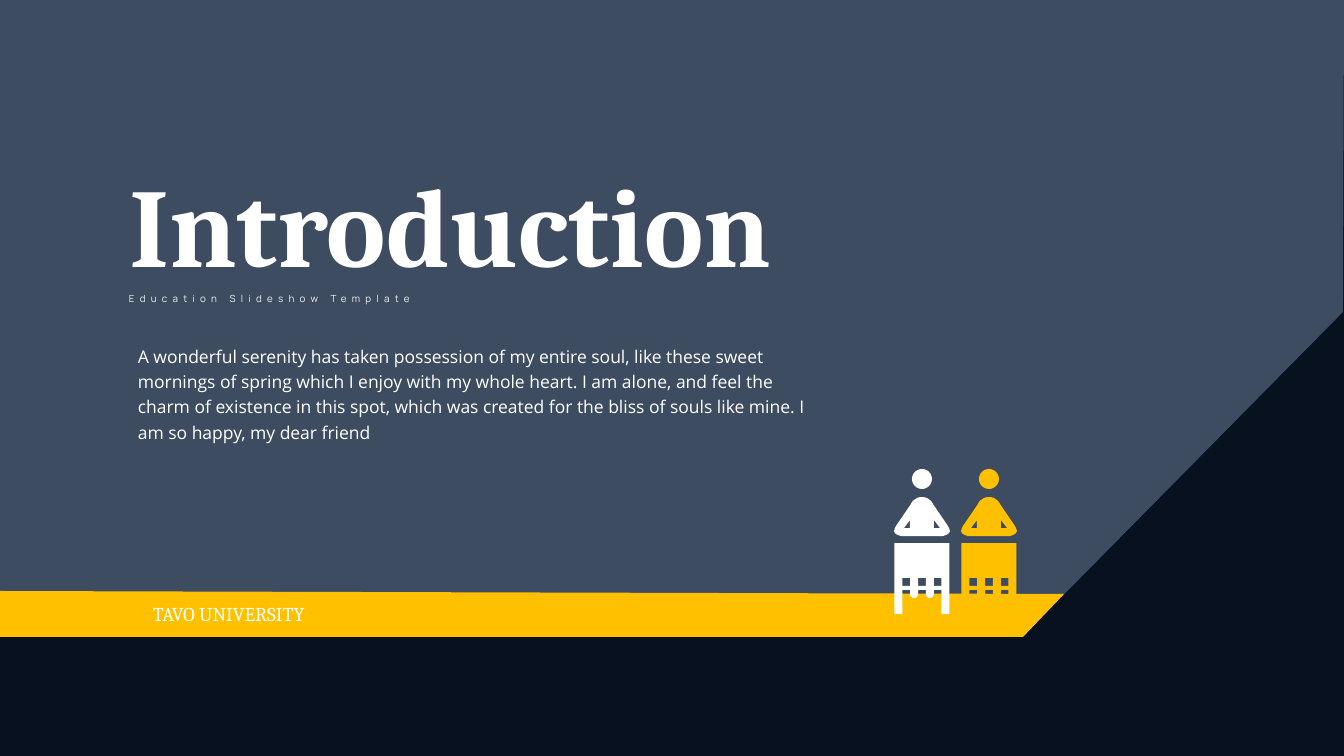
import math

from lxml import etree
from pptx import Presentation
from pptx import util as u
from pptx.dml.color import RGBColor
from pptx.enum import shapes, text
from pptx.oxml.ns import qn

W, H = 1344, 756
SCALE = u.Inches(7.5) / H
COLORS = {
    "navy": "07111F",
    "slate": "44546A",
    "gold": "FFC000",
    "white": "FFFFFF",
    "pale": "F2F2F2",
}
BODY = (
    "A wonderful serenity has taken possession of my entire soul, like these sweet "
    "mornings of spring which I enjoy with my whole heart. I am alone, and feel the "
    "charm of existence in this spot, which was created for the bliss of souls like "
    "mine. I am so happy, my dear friend"
)


def px(n):
    return u.Emu(round(n * SCALE))


def rgb(name):
    return RGBColor.from_string(COLORS[name])


def paint(sp, color, alpha=None):
    sp.shadow.inherit = False
    sp.line.fill.background()
    sp.fill.solid()
    sp.fill.fore_color.rgb = rgb(color)
    if alpha:
        clr = sp._element.spPr.find(qn("a:solidFill"))[0]
        etree.SubElement(clr, qn("a:alpha")).set("val", str(alpha * 1000))


def outline(parent, x, y, contours, color, alpha=None):
    moved = [[(px(x + a), px(y + b)) for a, b in pts] for pts in contours]
    fb = parent.build_freeform(*moved[0][0])
    fb.add_line_segments(moved[0][1:])
    for pts in moved[1:]:
        fb.move_to(*pts[0])
        fb.add_line_segments(pts[1:])
    paint(fb.convert_to_shape(), color, alpha)


def write(sp, box, words, size, font, color="white", bold=False, spacing=None,
          line=None, before=None, fit=text.MSO_AUTO_SIZE.NONE):
    sp.left, sp.top, sp.width, sp.height = map(px, box)
    tf = sp.text_frame
    tf.word_wrap = True
    tf.auto_size = fit
    tf.vertical_anchor = text.MSO_ANCHOR.TOP
    p = tf.paragraphs[0]
    p.alignment = text.PP_ALIGN.LEFT
    p.line_spacing = line
    p.space_before = before
    r = p.add_run()
    r.text = words
    r.font.size = u.Pt(size)
    r.font.name = font
    r.font.bold = bold
    r.font.color.rgb = rgb(color)
    if spacing:
        r._r.get_or_add_rPr().set("spc", str(spacing))


def add_label(slide, box, words, size, font, **fmt):
    sp = slide.shapes.add_textbox(0, 0, 0, 0)
    write(sp, box, words, size, font, fit=text.MSO_AUTO_SIZE.SHAPE_TO_FIT_TEXT, **fmt)


def backdrop(slide):
    slide.background.fill.solid()
    slide.background.fill.fore_color.rgb = rgb("navy")
    panel = [(0, 0), (W, 0), (W - 1, 312), (1022, 637), (0, 636)]
    band = [(0, 591), (1064, 594), (1023, 637), (0, 637)]
    outline(slide.shapes, 0, 0, [panel], "slate", alpha=89)
    outline(slide.shapes, 0, 0, [band], "gold")


def heading(slide, x, y, w):
    title = slide.shapes.title
    slide.shapes._spTree.append(title._element)
    write(title, (x, y, w, 122), "Introduction", 80, "Cambria", bold=True,
          line=0.9, before=u.Pt(16))
    add_label(slide, (x, y + 122, 410, 22), "Education Slideshow Template", 7,
              "Manrope", color="pale", spacing=380)


def peg(left, top, size):
    radius = size / 2
    angles = [math.pi * i / 12 for i in range(13)]
    arc = [(left + radius - radius * math.cos(a), top + 4 + radius * math.sin(a))
           for a in angles]
    return [(left, top), *arc, (left + size, top)]


def desk(group, x, y, color):
    w, h, leg, under = 55, 71, 8, 47
    pitch = (w - leg) / 3
    front = [(0, 0), (0, h), (leg, h), (leg, under)]
    for i in (1, 2):
        front += peg(i * pitch, under, leg)
    front += [(w - leg, under), (w - leg, h), (w, h), (w, 0)]
    windows = []
    for i in range(3):
        a, b = i * pitch + leg, (i + 1) * pitch
        windows.append([(a, 35), (a, 43), (b, 43), (b, 35)])
    outline(group, x - w / 2, y, [front, *windows], color)


def torso(group, x, y, color):
    side = [(2, 0), (5, 1), (8, 3), (10, 5), (11, 7), (26, 29), (27, 31),
            (28, 34), (27, 36), (26, 37), (24, 38), (21, 39)]
    body = side + [(-a, b) for a, b in reversed(side)]
    gap = [(12, 31), (12, 23), (18, 31)]
    outline(group, x, y, [body, gap, [(-a, b) for a, b in gap]], color)


def student(slide, x, y, color):
    group = slide.shapes.add_group_shape().shapes
    desk(group, x, y + 74, color)
    head = group.add_shape(shapes.MSO_SHAPE.OVAL, px(x - 10), px(y), px(20), px(20))
    paint(head, color)
    torso(group, x, y + 28, color)


def main():
    prs = Presentation()
    prs.slide_width, prs.slide_height = px(W), px(H)
    slide = prs.slides.add_slide(prs.slide_layouts[5])
    backdrop(slide)
    heading(slide, 119, 166, 704)
    for i, color in enumerate(("white", "gold")):
        student(slide, 922 + 67 * i, 469, color)
    add_label(slide, (128, 337, 704, 110), BODY, 12.5, "Open Sans", line=1.2)
    add_label(slide, (143, 597, 673, 34), "TAVO UNIVERSITY", 14, "Cambria")
    prs.save("out.pptx")


if __name__ == "__main__":
    main()
